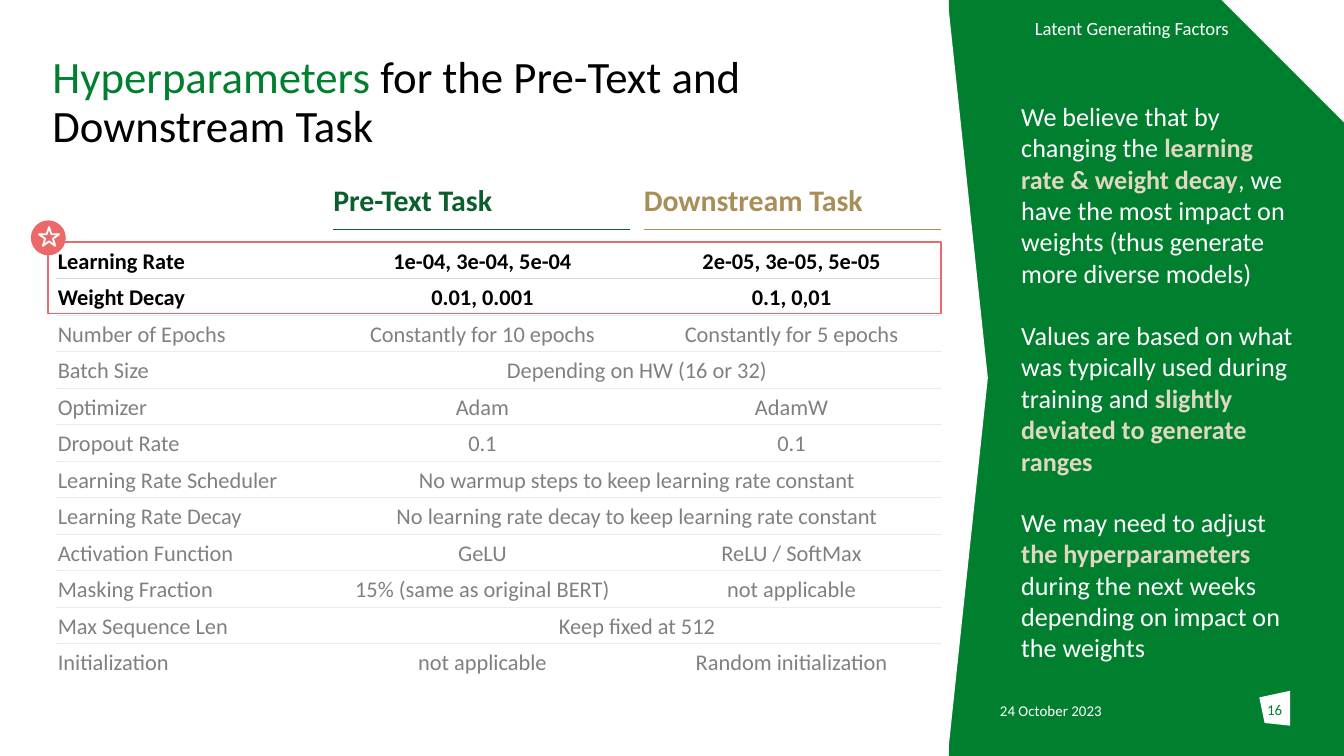
from lxml import etree
from pptx import Presentation
from pptx.dml.color import RGBColor
from pptx.enum.shapes import MSO_CONNECTOR, MSO_SHAPE
from pptx.enum.text import MSO_ANCHOR, PP_ALIGN
from pptx.oxml.ns import qn
from pptx.util import Inches, Pt

TOP, MIDDLE, BOTTOM = MSO_ANCHOR.TOP, MSO_ANCHOR.MIDDLE, MSO_ANCHOR.BOTTOM
LEFT, CENTER, RIGHT = PP_ALIGN.LEFT, PP_ALIGN.CENTER, PP_ALIGN.RIGHT
FONT = "Calibri"
COLORS = {
    "green": "00802F", "dark_green": "0A5F2D", "gold": "AA8E57", "sand": "E1D7C3",
    "red": "EB6969", "rule": "D9D9D9", "black": "000000", "white": "FFFFFF",
}
WIDTH = 10
HEIGHT = WIDTH * 9 / 16
ROW_HEIGHT = 0.272
LABEL_WIDTH, VALUE_WIDTH, COLUMN_GAP = 2.06, 2.21, 0.1
HIGHLIGHTED_ROWS = 2
# A row with a single value spans both task columns.
ROWS = [
    ("Learning Rate", "1e-04, 3e-04, 5e-04", "2e-05, 3e-05, 5e-05"),
    ("Weight Decay", "0.01, 0.001", "0.1, 0,01"),
    ("Number of Epochs", "Constantly for 10 epochs", "Constantly for 5 epochs"),
    ("Batch Size", "Depending on HW (16 or 32)"),
    ("Optimizer", "Adam", "AdamW"),
    ("Dropout Rate", "0.1", "0.1"),
    ("Learning Rate Scheduler", "No warmup steps to keep learning rate constant"),
    ("Learning Rate Decay", "No learning rate decay to keep learning rate constant"),
    ("Activation Function", "GeLU", "ReLU / SoftMax"),
    ("Masking Fraction", "15% (same as original BERT)", "not applicable"),
    ("Max Sequence Len", "Keep fixed at 512"),
    ("Initialization", "not applicable", "Random initialization"),
]
TASKS = [("Pre-Text Task", "dark_green"), ("Downstream Task", "gold")]
# Each note: top, height, and spans of (text, emphasised).
NOTES = [
    (0.69, 1.51, [("We believe that by changing the ", False),
                  ("learning rate & weight decay", True),
                  (", we have the most impact on weights "
                   "(thus generate more diverse models)", False)]),
    (2.32, 1.28, [("Values are based on what was typically used during training and ", False),
                  ("slightly deviated to generate ranges", True)]),
    (3.71, 1.28, [("We may need to adjust ", False),
                  ("the hyperparameters ", True),
                  ("during the next weeks depending on impact on the weights", False)]),
]


def rgb(name):
    return RGBColor.from_string(COLORS[name])


def style(font, size, color, bold=False):
    font.name, font.size, font.bold = FONT, Pt(size), bold
    font.color.rgb = rgb(color)


def add_text(page, box, spans, size, align=LEFT, anchor=TOP, inset=0):
    """Add a text box; spans are (text, color, bold)."""
    shape = page.shapes.add_textbox(*map(Inches, box))
    frame = shape.text_frame
    frame.word_wrap, frame.vertical_anchor = True, anchor
    frame.margin_left = frame.margin_right = Inches(inset)
    frame.margin_top = frame.margin_bottom = Inches(inset / 2)
    para = frame.paragraphs[0]
    para.alignment = align
    for text, color, bold in spans:
        span = para.add_run()
        span.text = text
        style(span.font, size, color, bold)
    return shape


def paint(shape, fill=None, line=None, width=1):
    shape.shadow.inherit = False
    if fill:
        shape.fill.solid()
        shape.fill.fore_color.rgb = rgb(fill)
    else:
        shape.fill.background()
    if line:
        shape.line.color.rgb = rgb(line)
        shape.line.width = Pt(width)
    else:
        shape.line.fill.background()
    return shape


def add_shape(page, kind, box, **look):
    return paint(page.shapes.add_shape(kind, *map(Inches, box)), **look)


def add_rule(page, left, top, width, color):
    rule = page.shapes.add_connector(
        MSO_CONNECTOR.STRAIGHT, *map(Inches, (left, top, left + width, top)))
    rule.line.color.rgb = rgb(color)
    rule.line.width = Pt(0.5)
    etree.SubElement(rule._element.spPr, qn("a:effectLst"))


def set_borders(cell, above, below):
    """Draw hairlines above and below the cell where asked, and no other borders."""
    properties = cell._tc.get_or_add_tcPr()
    for side, shown in (("L", False), ("R", False), ("T", above), ("B", below)):
        border = etree.SubElement(properties, qn(f"a:ln{side}"), w=str(Pt(0.5)))
        if shown:
            fill = etree.SubElement(border, qn("a:solidFill"))
            etree.SubElement(fill, qn("a:srgbClr"), val=COLORS["rule"])
        else:
            etree.SubElement(border, qn("a:noFill"))


def add_background(page):
    add_shape(page, MSO_SHAPE.RECTANGLE, (7.06, 0, WIDTH - 7.06, HEIGHT), fill="green")
    arrow = add_shape(page, MSO_SHAPE.PENTAGON, (0, 0, 7.35, HEIGHT), fill="white")
    arrow.adjustments[0] = 0.053
    corner = add_shape(page, MSO_SHAPE.RIGHT_TRIANGLE, (WIDTH - 0.91, 0, 0.91, 0.91), fill="white")
    corner.rotation = 180


def add_title(page, box):
    title = add_text(page, box, [("Hyperparameters", "green", False),
                                 (" for the Pre-Text and Downstream Task", "black", False)], 24)
    title.text_frame.paragraphs[0].line_spacing = 0.9


def add_task_headers(page, left, top):
    for index, (task, color) in enumerate(TASKS):
        x = left + index * (VALUE_WIDTH + COLUMN_GAP)
        add_text(page, (x, top, VALUE_WIDTH, 0.38), [(task, color, True)], 16, anchor=BOTTOM)
        add_rule(page, x, top + 0.47, VALUE_WIDTH, color)


def add_parameter_table(page, left, top):
    half_gap = COLUMN_GAP / 2
    widths = (LABEL_WIDTH, VALUE_WIDTH + half_gap, VALUE_WIDTH + half_gap)
    table = page.shapes.add_table(
        len(ROWS), len(widths),
        *map(Inches, (left, top, sum(widths), ROW_HEIGHT * len(ROWS)))).table
    table.first_row = table.horz_banding = False
    for column, width in zip(table.columns, widths):
        column.width = Inches(width)
    for r, values in enumerate(ROWS):
        table.rows[r].height = Inches(ROW_HEIGHT)
        spans_tasks = len(values) == 2
        if spans_tasks:
            table.cell(r, 1).merge(table.cell(r, 2))
        for c in range(len(widths)):
            cell = table.cell(r, c)
            set_borders(cell, above=r > 0, below=r < len(ROWS) - 1)
            cell.fill.background()
            cell.vertical_anchor = MIDDLE
            cell.margin_top, cell.margin_bottom = Inches(0.02), 0
            cell.margin_left = Inches(half_gap if c == 2 else 0.01)
            cell.margin_right = Inches(half_gap if c == 1 and not spans_tasks else 0.01)
            if c < len(values):
                cell.text = values[c]
                para = cell.text_frame.paragraphs[0]
                para.alignment = CENTER if c else LEFT
                style(para.runs[0].font, 12, "black", r < HIGHLIGHTED_ROWS)


def add_emphasis(page, left, top, width):
    """Frame the first rows, mark them with a star and fade the remaining rows."""
    split = HIGHLIGHTED_ROWS * ROW_HEIGHT
    add_shape(page, MSO_SHAPE.RECTANGLE, (left - 0.06, top, width + 0.06, split - 0.01), line="red")
    veil = add_shape(page, MSO_SHAPE.RECTANGLE,
                     (left, top + split, width, ROW_HEIGHT * (len(ROWS) - HIGHLIGHTED_ROWS)),
                     fill="white")
    color = veil._element.spPr.find(qn("a:solidFill"))[0]
    etree.SubElement(color, qn("a:alpha"), val="50000")
    add_shape(page, MSO_SHAPE.OVAL, (left - 0.19, top - 0.16, 0.26, 0.26), fill="red")
    add_shape(page, MSO_SHAPE.STAR_5_POINT, (left - 0.13, top - 0.11, 0.15, 0.14), line="white")


def add_notes(page, left, width):
    for top, height, spans in NOTES:
        styled = [(text, "sand" if strong else "white", strong) for text, strong in spans]
        note = add_text(page, (left, top, width, height), styled, 14, anchor=MIDDLE, inset=0.1)
        paint(note, fill="green")


def add_page_number(page, left, top):
    corners = [(0, 0.05), (0.23, 0), (0.23, 0.26), (0.04, 0.24)]
    points = [(Inches(left + x), Inches(top + y)) for x, y in corners]
    builder = page.shapes.build_freeform(*points[0], scale=1.0)
    builder.add_line_segments(points[1:], close=True)
    paint(builder.convert_to_shape(), fill="white")
    add_text(page, (left, top + 0.07, 0.23, 0.3), [("16", "green", False)], 8, CENTER)


def main():
    deck = Presentation()
    deck.slide_width, deck.slide_height = Inches(WIDTH), Inches(HEIGHT)
    page = deck.slides.add_slide(deck.slide_layouts[6])
    left, top = 0.42, 1.8
    add_background(page)
    add_title(page, (0.39, 0.41, 6.41, 0.67))
    add_task_headers(page, left + LABEL_WIDTH, 1.24)
    add_parameter_table(page, left, top)
    add_emphasis(page, left, top, LABEL_WIDTH + 2 * VALUE_WIDTH + COLUMN_GAP)
    add_notes(page, 7.5, 2.28)
    add_text(page, (7.44, 5.22, 1.29, 0.2), [("24 October 2023", "white", False)], 8)
    add_page_number(page, 9.37, 5.14)
    add_text(page, (7.42, 0.11, 1.82, 0.2), [("Latent Generating Factors", "white", False)],
             10, RIGHT, MIDDLE, 0.1)
    deck.save("out.pptx")


if __name__ == "__main__":
    main()
